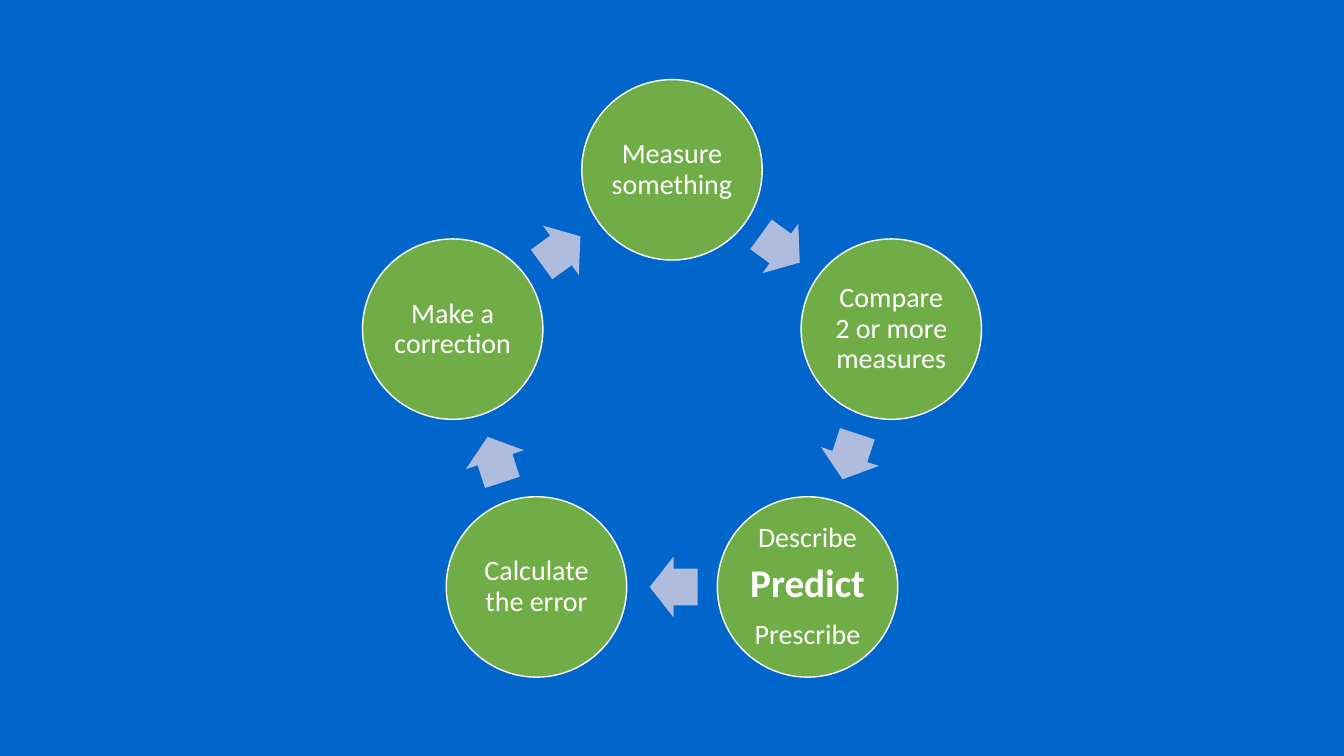
import math

import pptx
import pptx.dml.color
import pptx.enum.shapes
import pptx.enum.text
import pptx.util

Pt = pptx.util.Pt
RGBColor = pptx.dml.color.RGBColor
MSO_SHAPE = pptx.enum.shapes.MSO_SHAPE

BLUE = RGBColor(0x00, 0x66, 0xCC)
GREEN = RGBColor(0x70, 0xAD, 0x47)
LAVENDER = RGBColor(0xB0, 0xBC, 0xDE)
WHITE = RGBColor(0xFF, 0xFF, 0xFF)

CENTER_X, CENTER_Y = 480, 286
STEP_RADIUS = 164.7
ARROW_RADIUS = 133.3
ARROW_LAG = 0.5  # degrees by which each arrow trails the middle of its gap

# Each step is a list of paragraphs: (text, format)
STEPS = [
    [("Measure something", {})],
    [("Compare 2 or more measures", {})],
    [("Describe", {}), ("Predict", {"size": 28, "bold": True}), ("Prescribe", {})],
    [("Calculate the error", {})],
    [("Make a correction", {})],
]


def write(para, text, *, size=20, bold=False, color=WHITE, font="Calibri"):
    para.alignment = pptx.enum.text.PP_ALIGN.CENTER
    para.line_spacing = 0.9
    para.space_after = Pt(0.35 * size)
    span = para.add_run()
    span.text = text
    span.font.name = font
    span.font.size = Pt(size)
    span.font.bold = bold
    span.font.color.rgb = color


def on_ring(radius, angle):
    """Point on the ring, with the angle in degrees clockwise from the top."""
    turn = math.radians(angle)
    return CENTER_X + radius * math.sin(turn), CENTER_Y - radius * math.cos(turn)


class CycleSlide:
    circle_size = 128.9
    arrow_width, arrow_height = 34.2, 43.5
    inset = 2

    def __init__(self, deck):
        self.slide = deck.slides.add_slide(deck.slide_layouts[6])
        background = self.slide.background.fill
        background.solid()
        background.fore_color.rgb = BLUE
        self.cycle = self.slide.shapes.add_group_shape()

    def shape(self, kind, center, width, height, color):
        x, y = center
        shape = self.cycle.shapes.add_shape(
            kind, Pt(x - width / 2), Pt(y - height / 2), Pt(width), Pt(height))
        shape.shadow.inherit = False
        shape.fill.solid()
        shape.fill.fore_color.rgb = color
        return shape

    def step(self, angle, paragraphs):
        circle = self.shape(MSO_SHAPE.OVAL, on_ring(STEP_RADIUS, angle),
                            self.circle_size, self.circle_size, GREEN)
        circle.line.color.rgb = WHITE
        circle.line.width = Pt(1)
        box = circle.text_frame
        box.word_wrap = True
        box.vertical_anchor = pptx.enum.text.MSO_ANCHOR.MIDDLE
        box.margin_left = box.margin_right = Pt(self.inset)
        box.margin_top = box.margin_bottom = Pt(self.inset)
        for index, (text, style) in enumerate(paragraphs):
            para = box.add_paragraph() if index else box.paragraphs[0]
            write(para, text, **style)

    def arrow(self, angle):
        arrow = self.shape(MSO_SHAPE.RIGHT_ARROW,
                           on_ring(ARROW_RADIUS, angle - ARROW_LAG),
                           self.arrow_width, self.arrow_height, LAVENDER)
        arrow.line.fill.background()
        arrow.adjustments[0] = 0.6
        arrow.adjustments[1] = 0.5
        arrow.rotation = angle


def main():
    deck = pptx.Presentation()
    deck.slide_width, deck.slide_height = Pt(960), Pt(540)
    page = CycleSlide(deck)
    sector = 360 / len(STEPS)
    for index, paragraphs in enumerate(STEPS):
        page.step(index * sector, paragraphs)
        page.arrow((index + 0.5) * sector)
    deck.save("out.pptx")


if __name__ == "__main__":
    main()
